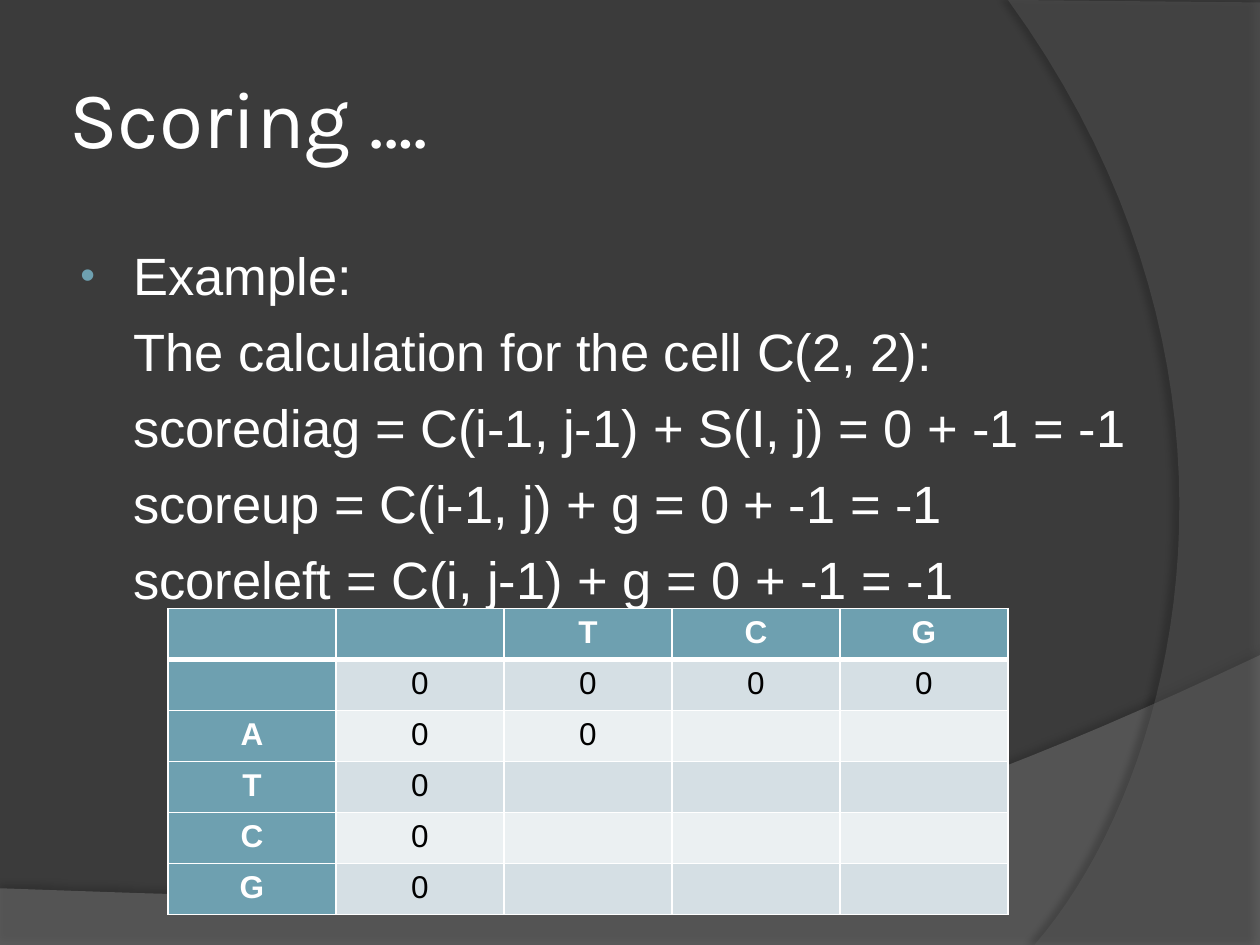
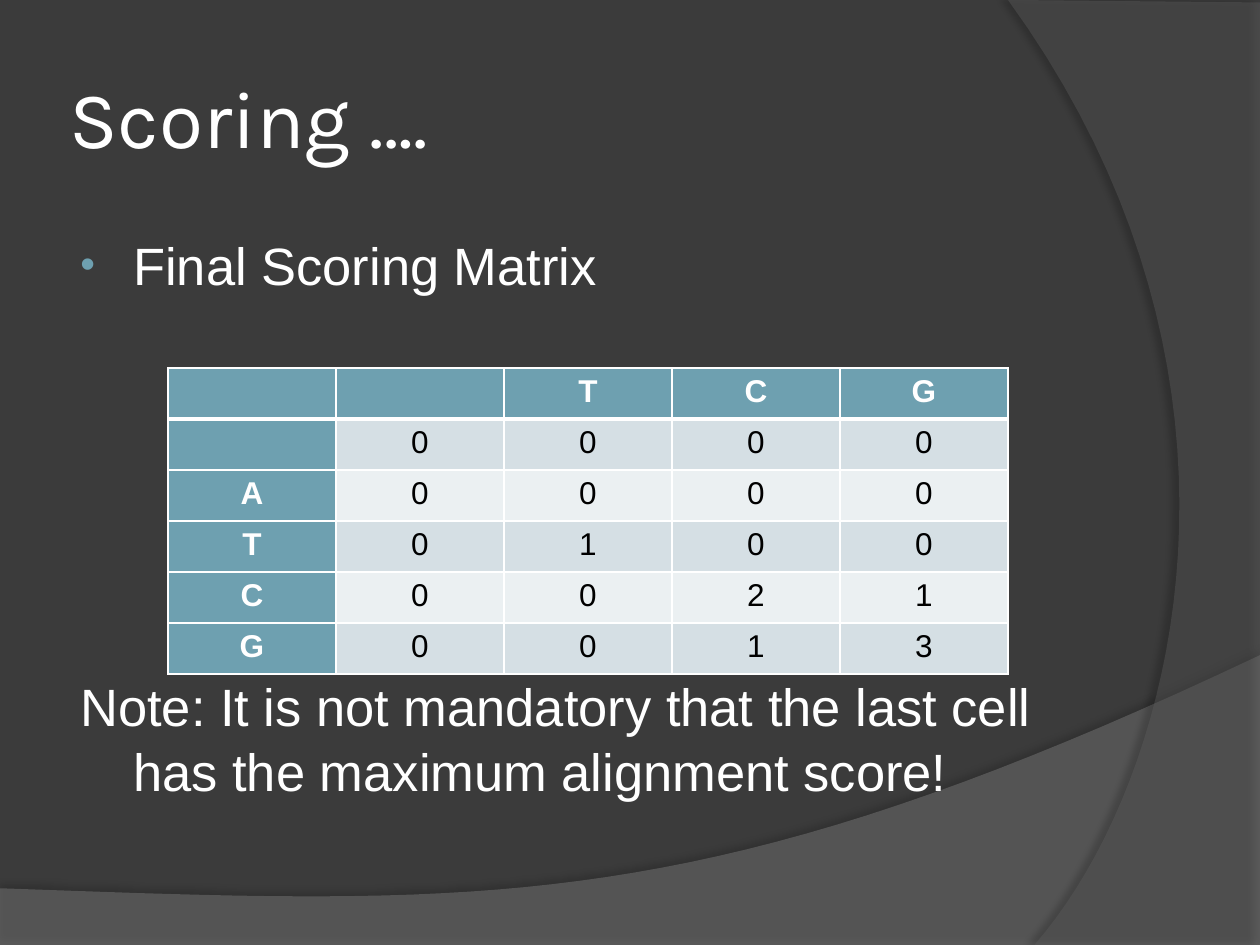
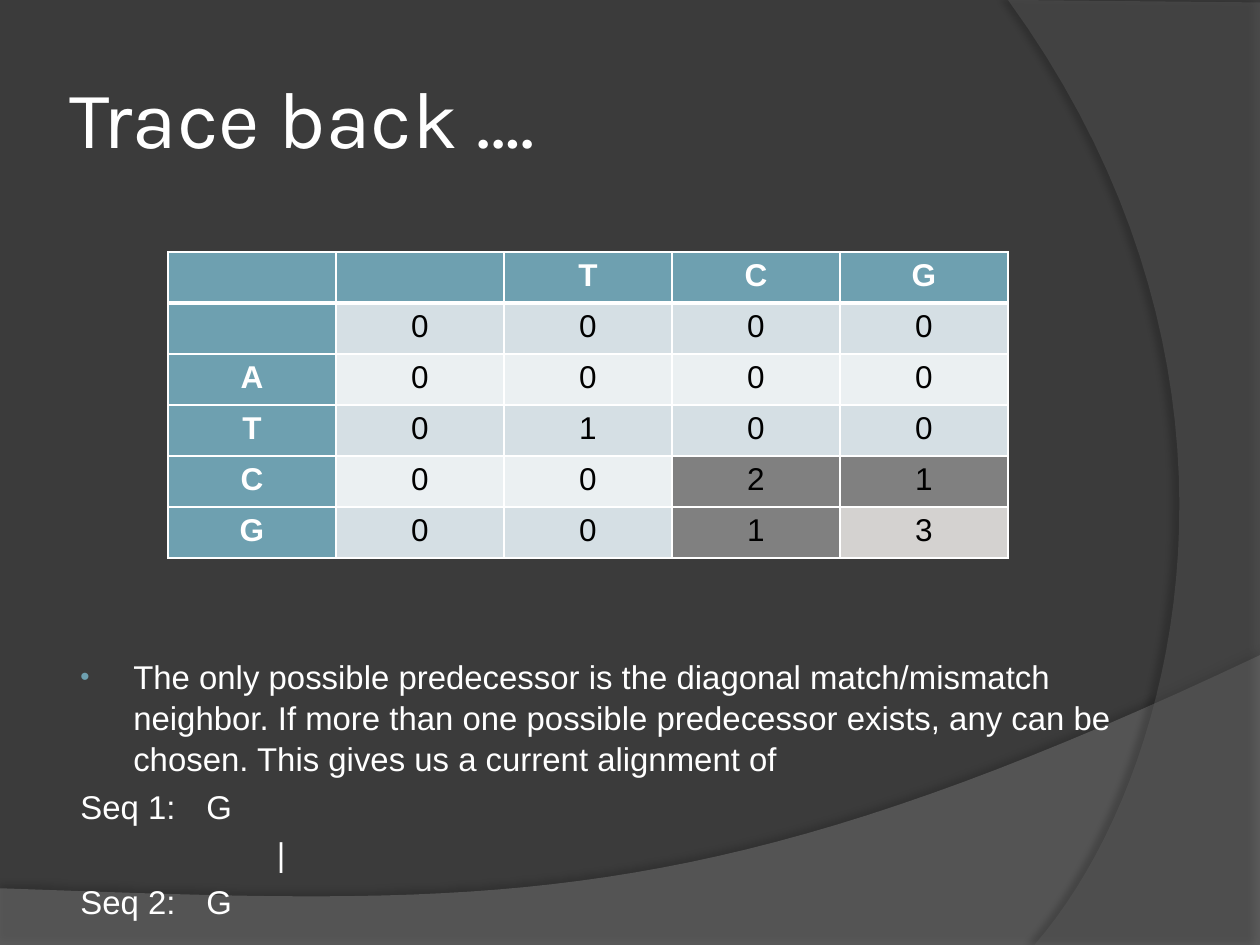
import lxml.etree
import pptx
import pptx.dml.color
import pptx.enum.text
import pptx.oxml.ns
import pptx.util

Inches, Pt = pptx.util.Inches, pptx.util.Pt
RGB = pptx.dml.color.RGBColor.from_string
ALIGN, ANCHOR = pptx.enum.text.PP_ALIGN, pptx.enum.text.MSO_ANCHOR
qn = pptx.oxml.ns.qn

COLORS = {
    "back": "3B3B3B", "wave": "7F7F7F", "arc": "5E5E5E", "shadow": "000000",
    "white": "FFFFFF", "black": "000000", "accent": "6EA0B0",
    "odd": "D5DFE4", "even": "EBF0F2", "neighbor": "808080", "current": "D4D2D0",
}
BODY_FONT, TITLE_FONT = "Arial", "Karla"
W, H = 10, 7.5
COL, ROW = W * 2 / 15, 0.405


def sub(parent, tag, **attrs):
    """Add a DrawingML child element."""
    el = lxml.etree.SubElement(parent, qn("a:" + tag))
    for key, value in attrs.items():
        el.set(key, str(value))
    return el


def write(tf, text, size=18, color="white", font=BODY_FONT, bold=False,
          align=ALIGN.LEFT, left=0, hang=0, bullet=False, tab=None, leading=None):
    """Fill the first paragraph of a frame, or add one after it."""
    p = tf.paragraphs[0]
    if p.runs:
        p = tf.add_paragraph()
        p.space_before = Pt(size * 0.2)
    p.alignment = align
    p.line_spacing = leading
    pPr = p._p.get_or_add_pPr()
    pPr.set("marL", str(Inches(left)))
    pPr.set("indent", str(Inches(-hang)))
    if bullet:
        sub(sub(pPr, "buClr"), "srgbClr", val=COLORS["accent"])
        sub(pPr, "buSzPct", val=80000)
        sub(pPr, "buFont", typeface=BODY_FONT)
        sub(pPr, "buChar", char="•")
    else:
        sub(pPr, "buNone")
    if tab:
        sub(sub(pPr, "tabLst"), "tab", pos=Inches(tab), algn="l")
    r = p.add_run()
    r.text = text
    r.font.size, r.font.name, r.font.bold = Pt(size), font, bold
    r.font.color.rgb = RGB(COLORS[color])


prs = pptx.Presentation()
prs.slide_width, prs.slide_height = Inches(W), Inches(H)
layout = prs.slide_layouts[5]

# Shared background
fill = prs.slide_master.background.fill
fill.solid()
fill.fore_color.rgb = RGB(COLORS["back"])

# Two shaded bands: corners, Bezier control points, fill and shadow
BANDS = [
    dict(corners=[(0, 7.05), (0, H), (W, H)],
         curve=[(W, 5.2), (5.59, 7.29), (3.91, 7.19), (0, 7.05)],
         color="wave", alpha=45, shade=35, dist=3.5, angle=270),
    dict(corners=[(W, 0.02), (W, H)],
         curve=[(8.21, H), (9.35, 6.19), (10.18, 3), (8, 0)],
         color="arc", alpha=40, shade=45, dist=4, angle=180),
]
STEPS = 40

# Body text: box left, top, width, height, then paragraphs
BULLET = dict(left=0.46, hang=0.42, bullet=True)
INDENTED = dict(left=0.46)
HANGING = dict(left=0.46, hang=0.42)
SEQUENCE = dict(left=0.04, tab=0.99)

ZEROS = ["0"] * 4
FINAL = [ZEROS, ZEROS, ["0", "1", "0", "0"], ["0", "0", "2", "1"], ["0", "0", "1", "3"]]

SLIDES = [
    dict(title="Scoring ….", size=30, table_top=4.83,
         scores=[ZEROS, ["0", "0"], ["0"], ["0"], ["0"]], marks={},
         boxes=[((0.5, 1.86, 9, 2.95), [
             ("Example:", BULLET),
             ("The calculation for the cell C(2, 2):", INDENTED),
             ("scorediag = C(i-1, j-1) + S(I, j) = 0 + -1 = -1", INDENTED),
             ("scoreup = C(i-1, j) + g = 0 + -1 = -1", INDENTED),
             ("scoreleft = C(i, j-1) + g = 0 + -1 = -1", INDENTED)])]),
    dict(title="Scoring ….", size=30, table_top=2.92, scores=FINAL, marks={},
         boxes=[((0.5, 1.78, 8.17, 0.7), [("Final Scoring Matrix", BULLET)]),
                ((0.5, 5.28, 8.17, 1.2), [
                    ("Note: It is not mandatory that the last cell has the "
                     "maximum alignment score!", HANGING)])]),
    dict(title="Trace back ….", size=18.8, table_top=2, scores=FINAL,
         marks={(4, 3): "neighbor", (4, 4): "neighbor",
                (5, 3): "neighbor", (5, 4): "current"},
         boxes=[((0.5, 5.15, 9, 2.15), [
             ("The only possible predecessor is the diagonal match/mismatch "
              "neighbor. If more than one possible predecessor exists, any can "
              "be chosen. This gives us a current alignment of", BULLET),
             ("Seq 1:\tG", SEQUENCE),
             ("|", dict(left=1.6)),
             ("Seq 2:\tG", SEQUENCE)])]),
]

for data in SLIDES:
    s = prs.slides.add_slide(layout)

    # Bands, drawn once and kept on the layout
    for i, band in enumerate(BANDS if len(prs.slides) == 1 else []):
        a, b, c, d = band["curve"]
        points = list(band["corners"])
        for n in range(STEPS + 1):
            t = n / STEPS
            points.append(tuple(
                (1 - t) ** 3 * a[k] + 3 * t * (1 - t) ** 2 * b[k]
                + 3 * t ** 2 * (1 - t) * c[k] + t ** 3 * d[k] for k in (0, 1)))
        points = [(Inches(x), Inches(y)) for x, y in points]
        builder = s.shapes.build_freeform(*points[0])
        builder.add_line_segments(points[1:], close=True)
        sp = builder.convert_to_shape()
        sp.fill.solid()
        sp.fill.fore_color.rgb = RGB(COLORS[band["color"]])
        spPr = sp.element.spPr
        sub(spPr.find(".//" + qn("a:srgbClr")), "alpha", val=band["alpha"] * 1000)
        sp.line.fill.background()
        sp.shadow.inherit = False
        shadow = sub(spPr.find(qn("a:effectLst")), "outerShdw", blurRad=Pt(4),
                     dist=Pt(band["dist"]), dir=band["angle"] * 60000,
                     algn="ctr", rotWithShape=0)
        sub(sub(shadow, "srgbClr", val=COLORS["shadow"]), "alpha",
            val=band["shade"] * 1000)
        layout.shapes.element.insert(2 + i, sp.element)

    # Title
    title = s.shapes.title
    title.left, title.top = Inches(0.5), Inches(0.3)
    title.width, title.height = Inches(8.17), Inches(1.25)
    tf = title.text_frame
    tf.auto_size = pptx.enum.text.MSO_AUTO_SIZE.NONE
    tf.vertical_anchor = ANCHOR.MIDDLE
    tf.margin_left = tf.margin_right = tf.margin_top = tf.margin_bottom = Inches(0.05)
    write(tf, data["title"], size=46, font=TITLE_FONT)

    # Body text
    for place, paragraphs in data["boxes"]:
        tf = s.shapes.add_textbox(*map(Inches, place)).text_frame
        tf.word_wrap = True
        for text, style in paragraphs:
            write(tf, text, size=data["size"], leading=1.04, **style)

    # Scoring matrix
    rows = [["", "", "T", "C", "G"]]
    rows += [[name] + line for name, line in zip(["", "A", "T", "C", "G"], data["scores"])]
    table = s.shapes.add_table(6, 5, Inches(COL), Inches(data["table_top"]),
                               Inches(5 * COL), Inches(6 * ROW)).table
    for r in range(6):
        table.rows[r].height = Inches(ROW)
        for c in range(5):
            cell = table.cell(r, c)
            heading = r == 0 or c == 0
            tcPr = cell._tc.get_or_add_tcPr()
            for side in "LRTB":
                thick = (r, side) in [(0, "B"), (1, "T")]
                ln = sub(tcPr, "ln" + side, w=Pt(3 if thick else 1))
                sub(sub(ln, "solidFill"), "srgbClr", val=COLORS["white"])
            shade = "accent" if heading else "odd" if r % 2 else "even"
            cell.fill.solid()
            cell.fill.fore_color.rgb = RGB(COLORS[data["marks"].get((r, c), shade)])
            text = rows[r][c] if c < len(rows[r]) else ""
            if text:
                write(cell.text_frame, text, bold=heading, align=ALIGN.CENTER,
                      color="white" if heading else "black")

prs.save("out.pptx")
